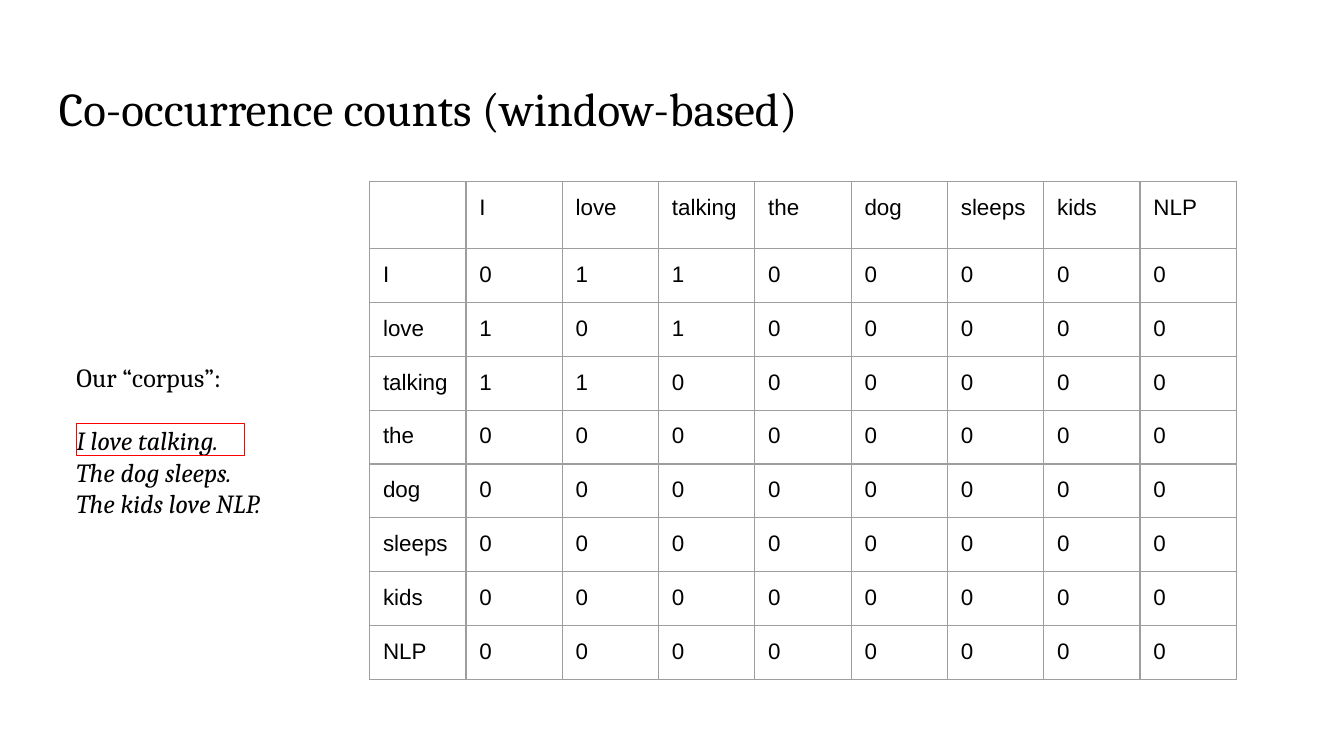
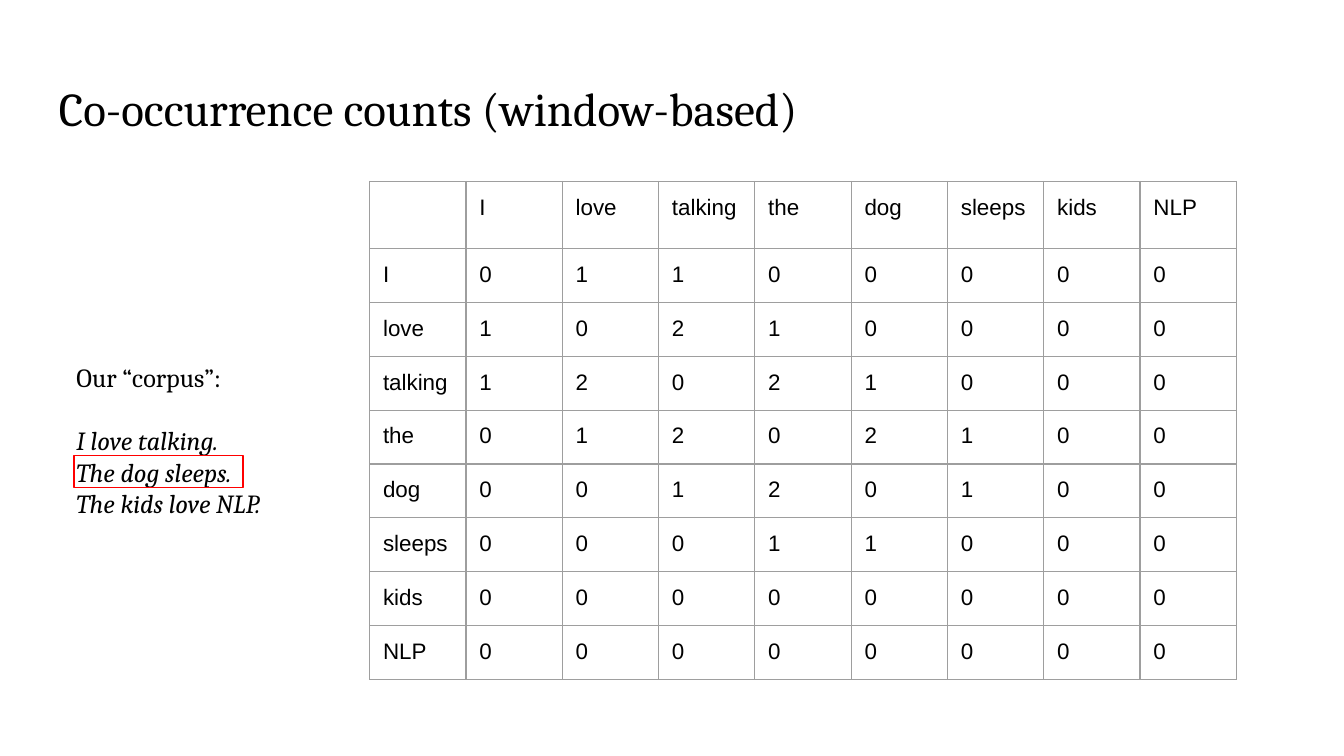
import itertools
from dataclasses import dataclass

import lxml.etree
import pptx
import pptx.dml.color
import pptx.enum.shapes
import pptx.enum.text
import pptx.oxml.ns
import pptx.presentation
import pptx.slide
import pptx.table
import pptx.text.text
import pptx.util
from pptx.oxml.ns import qn
from pptx.util import Inches

BLACK = "000000"
GRID_GRAY = "9E9E9E"
MARK_RED = "FF0000"
SERIF = "Cambria"
SANS = "Arial"

TITLE = "Co-occurrence counts (window-based)"
CORPUS_HEADING = "Our “corpus”:"
SENTENCES = ["I love talking.", "The dog sleeps.", "The kids love NLP."]
WORDS = ["I", "love", "talking", "the", "dog", "sleeps", "kids", "NLP"]
WINDOW = 3

PADDING = Inches(0.1)
HEADER_HEIGHT = Inches(0.44)
ROW_HEIGHT = Inches(0.37)
LINE_WIDTH = pptx.util.Pt(0.75)


@dataclass(frozen=True)
class Box:
    left: float
    top: float
    width: float
    height: float

    def lengths(self) -> tuple[int, int, int, int]:
        return (Inches(self.left), Inches(self.top),
                Inches(self.width), Inches(self.height))


@dataclass(frozen=True)
class Step:
    """One stage of the count: the words read so far and the marked sentence."""
    words_read: int
    marker: Box


TITLE_BOX = Box(0.34, 0.49, 9.32, 0.63)
CORPUS_BOX = Box(0.47, 2.59, 1.94, 1.59)
TABLE_BOX = Box(2.75, 1.35, 6.45, 3.4)
STEPS = [
    Step(3, Box(0.57, 3.15, 1.25, 0.24)),
    Step(6, Box(0.55, 3.39, 1.26, 0.24)),
]


def color(value: str) -> pptx.dml.color.RGBColor:
    return pptx.dml.color.RGBColor.from_string(value)


def format_runs(p: pptx.text.text._Paragraph, font: str, size: float,
                italic: bool = False) -> None:
    for r in p.runs:
        r.font.name = font
        r.font.size = pptx.util.Pt(size)
        r.font.italic = italic
        r.font.color.rgb = color(BLACK)


def add_text(slide: pptx.slide.Slide, box: Box, lines: list[str],
             size: float) -> pptx.text.text.TextFrame:
    tf = slide.shapes.add_textbox(*box.lengths()).text_frame
    tf.word_wrap = True
    tf.vertical_anchor = pptx.enum.text.MSO_ANCHOR.TOP
    tf.margin_left = tf.margin_right = PADDING
    tf.margin_top = tf.margin_bottom = PADDING
    tf.text = "\n".join(lines)
    for p in tf.paragraphs:
        format_runs(p, SERIF, size)
    return tf


def add_corpus(slide: pptx.slide.Slide) -> None:
    tf = add_text(slide, CORPUS_BOX, [CORPUS_HEADING, *SENTENCES], 14)
    sentences = tf.paragraphs[1:]
    sentences[0].space_before = pptx.util.Pt(17)
    for p in sentences:
        format_runs(p, SERIF, 14, italic=True)


def count_pairs(words: list[str]) -> list[list[int]]:
    """Count how often two words share a window sliding over the text."""
    counts = [[0] * len(WORDS) for _ in WORDS]
    for start in range(len(words) - WINDOW + 1):
        window = words[start:start + WINDOW]
        for a, b in itertools.permutations(window, 2):
            counts[WORDS.index(a)][WORDS.index(b)] += 1
    return counts


def set_borders(cell: pptx.table._Cell) -> None:
    properties = cell._tc.get_or_add_tcPr()
    for index, side in enumerate(("a:lnL", "a:lnR", "a:lnT", "a:lnB")):
        line = lxml.etree.Element(qn(side), w=str(int(LINE_WIDTH)))
        fill = lxml.etree.SubElement(line, qn("a:solidFill"))
        lxml.etree.SubElement(fill, qn("a:srgbClr"), val=GRID_GRAY)
        properties.insert(index, line)


def set_end_font(p: pptx.text.text._Paragraph, font: str, size: int) -> None:
    """Set the font of the paragraph's end, which counts for the row height."""
    end = lxml.etree.SubElement(p._p, qn("a:endParaRPr"), sz=str(size * 100))
    lxml.etree.SubElement(end, qn("a:latin"), typeface=font)


def fill_cell(cell: pptx.table._Cell, text: str) -> None:
    cell.margin_left = cell.margin_right = PADDING
    cell.margin_top = cell.margin_bottom = PADDING
    cell.fill.background()
    set_borders(cell)
    p = cell.text_frame.paragraphs[0]
    if text:
        p.text = text
        format_runs(p, SANS, 12)
    set_end_font(p, SANS, 12 if text else 18)


def add_counts(slide: pptx.slide.Slide, counts: list[list[int]]) -> None:
    rows = [["", *WORDS]]
    rows += [[word, *map(str, row)] for word, row in zip(WORDS, counts)]
    table = slide.shapes.add_table(
        len(rows), len(rows[0]), *TABLE_BOX.lengths()).table
    table.first_row = table.horz_banding = False
    for i, row in enumerate(rows):
        table.rows[i].height = ROW_HEIGHT if i else HEADER_HEIGHT
        for j, text in enumerate(row):
            fill_cell(table.cell(i, j), text)


def add_marker(slide: pptx.slide.Slide, box: Box) -> None:
    sp = slide.shapes.add_shape(
        pptx.enum.shapes.MSO_SHAPE.RECTANGLE, *box.lengths())
    sp.shadow.inherit = False
    sp.fill.background()
    sp.line.color.rgb = color(MARK_RED)
    sp.line.width = LINE_WIDTH


def add_step(prs: pptx.presentation.Presentation, step: Step) -> None:
    slide = prs.slides.add_slide(prs.slide_layouts[6])
    add_text(slide, TITLE_BOX, [TITLE], 25.2)
    add_corpus(slide)
    add_counts(slide, count_pairs(WORDS[:step.words_read]))
    add_marker(slide, step.marker)


def main() -> None:
    prs = pptx.Presentation()
    prs.slide_width = Inches(10)
    prs.slide_height = prs.slide_width * 9 // 16
    for latin in prs.element.iter(qn("a:latin")):
        latin.set("typeface", SANS)
    for step in STEPS:
        add_step(prs, step)
    prs.save("out.pptx")


if __name__ == "__main__":
    main()
